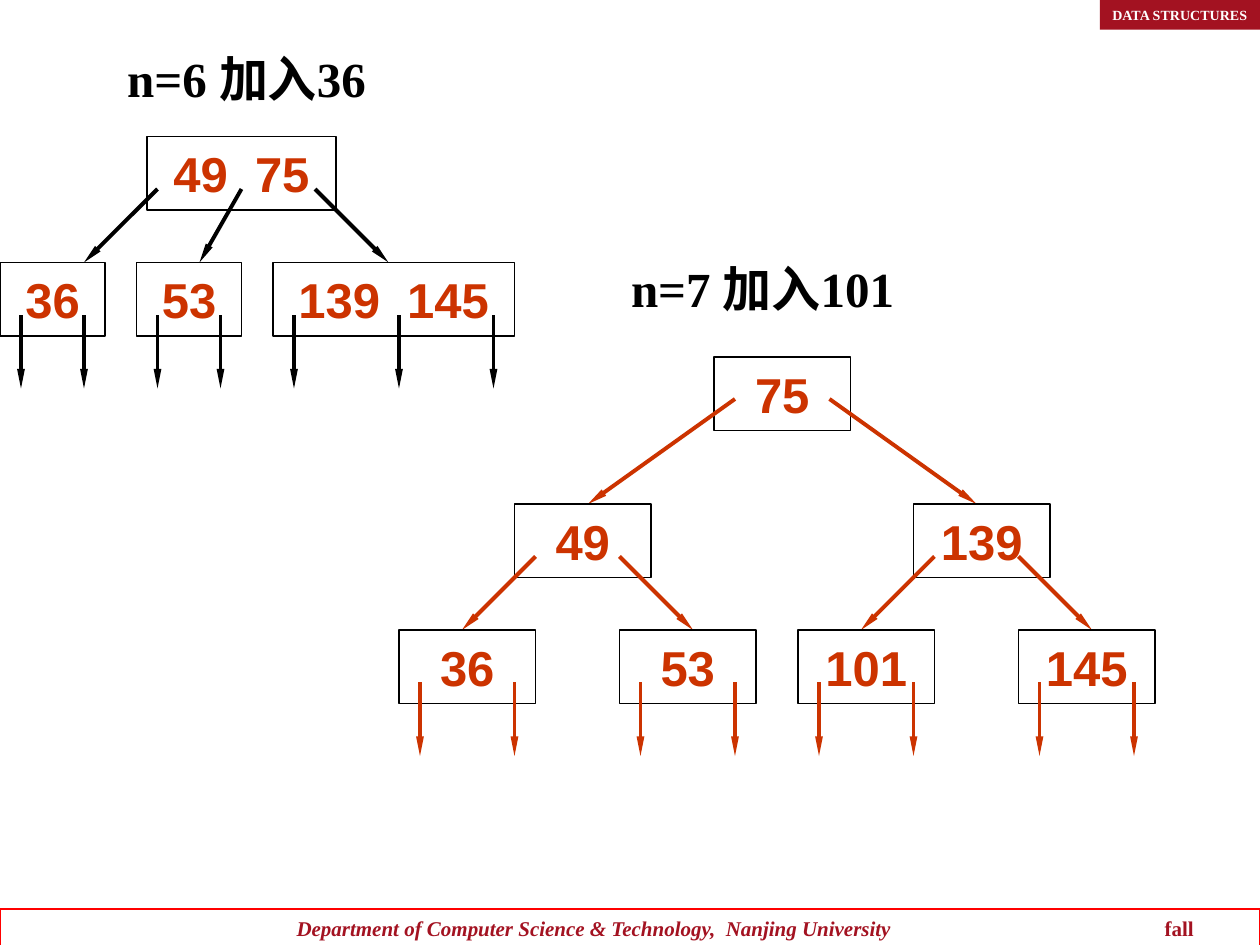
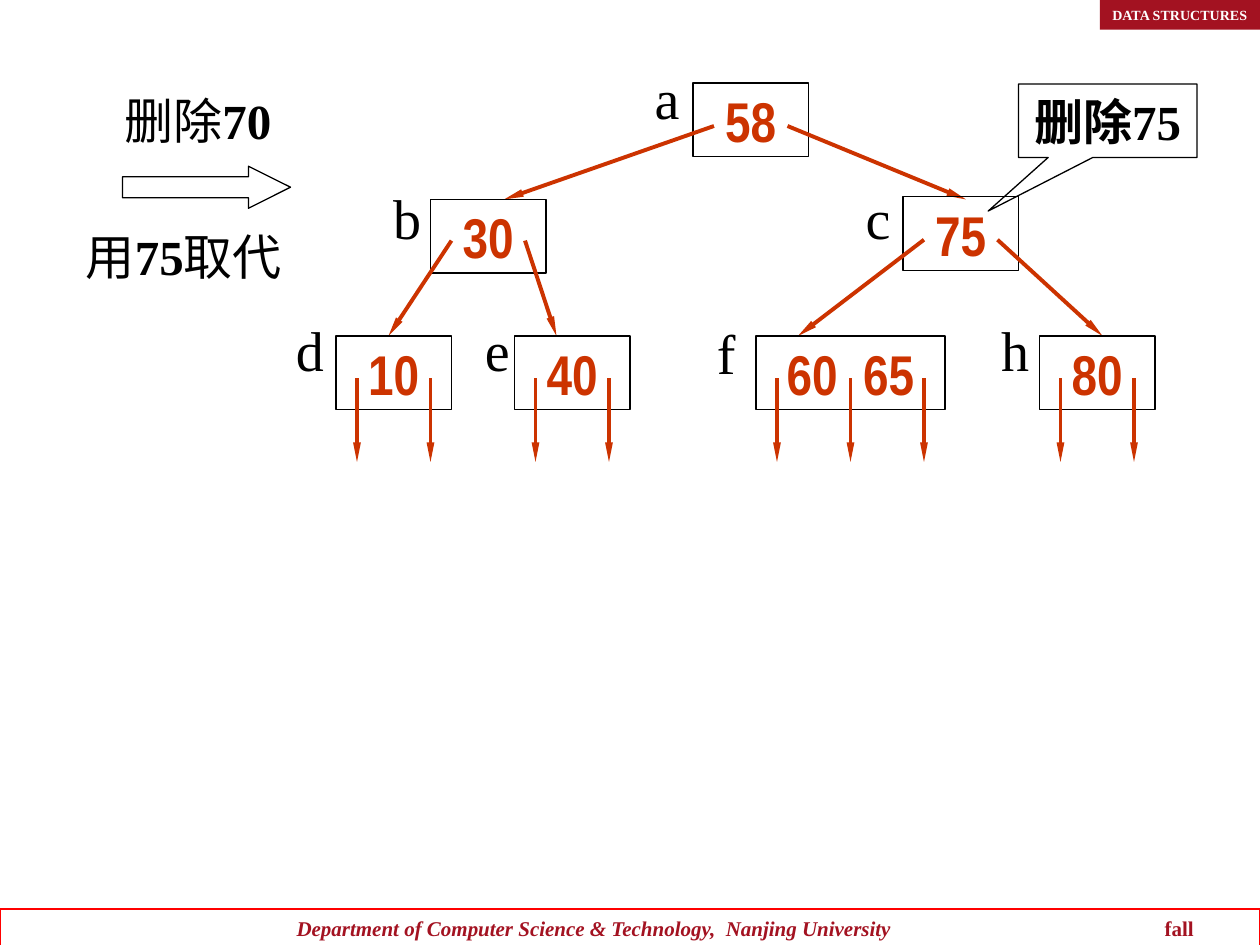
"""Builds two slides of B-tree insertion and deletion diagrams."""
from lxml import etree
from pptx import Presentation
from pptx.dml.color import RGBColor
from pptx.enum import shapes, text
from pptx.oxml import ns
from pptx.util import Pt

COLOURS = {"crimson": "A31221", "red": "FF0000", "orange": "CC3300",
           "black": "000000", "white": "FFFFFF"}
SERIF = "Times New Roman"
KINDS = shapes.MSO_SHAPE
LEFT, CENTRE = text.PP_ALIGN.LEFT, text.PP_ALIGN.CENTER
NODE_HEIGHT = 42


def write(box, spans, size, font=SERIF, colour="black", align=LEFT,
          anchor=text.MSO_ANCHOR.TOP, wrap=False):
    frame = box.text_frame
    frame.auto_size = text.MSO_AUTO_SIZE.NONE
    frame.word_wrap = wrap
    frame.vertical_anchor = anchor
    para = frame.paragraphs[0]
    para.alignment = align
    for words, bold in spans:
        span = para.add_run()
        span.text = words
        span.font.name = font
        span.font.size = Pt(size)
        span.font.bold = bold
        span.font.color.rgb = RGBColor.from_string(COLOURS[colour])
    return para


def add_outline(page, kind, left, top, width, height, colour="black"):
    box = page.shapes.add_shape(kind, Pt(left), Pt(top), Pt(width), Pt(height))
    box.shadow.inherit = False
    box.fill.background()
    box.line.color.rgb = RGBColor.from_string(COLOURS[colour])
    box.line.width = Pt(0.75)
    return box


deck = Presentation()
deck.slide_width, deck.slide_height = Pt(720), Pt(540)

titles = [
    ([("n=6 加入36", True)], 65.5, 24, 240),
    ([("删除", False), ("70", True)], 64, 48, 180),
]
pages = []
for spans, left, top, width in titles:
    page = deck.slides.add_slide(deck.slide_layouts[5])
    pages.append(page)

    footer = add_outline(page, KINDS.RECTANGLE, 0, 519.5, 720, 22, "red")
    footer.text_frame.margin_left = Pt(169.5)
    para = write(footer, [
        ("Department of Computer Science & Technology,  Nanjing University", True),
        ("\tfall", True)], 12, colour="crimson", wrap=True)
    para.runs[0].font.italic = True
    tabs = etree.SubElement(para._p.get_or_add_pPr(), ns.qn("a:tabLst"))
    etree.SubElement(tabs, ns.qn("a:tab"), pos=str(Pt(496)), algn="l")

    badge = add_outline(page, KINDS.RECTANGLE, 628.5, 0, 96, 17)
    badge.fill.solid()
    badge.fill.fore_color.rgb = RGBColor.from_string(COLOURS["crimson"])
    badge.line.fill.background()
    write(badge, [("DATA STRUCTURES", True)], 8, colour="white")

    title = page.shapes.title
    title.left, title.top, title.width, title.height = Pt(left), Pt(top), Pt(width), Pt(41)
    write(title, spans, 28, wrap=True)

insertion, deletion = pages

# keys, left, top, width, pointer start, pointer end, start xs, end xs
six_keys = [
    ("49  75", 84, 78, 108, 108, 150, (90, 138, 180), (48, 114, 222)),
    ("36", 0, 150, 60, 180, 222, (12, 48), (12, 48)),
    ("53", 78, 150, 60, 180, 222, (90, 126), (90, 126)),
    ("139  145", 156, 150, 138, 180, 222, (168, 228, 282), (168, 228, 282)),
]
seven_keys = [
    ("75", 408, 204, 78, 228, 288, (420, 474), (336, 558)),
    ("49", 294, 288, 78, 318, 360, (306, 354), (264, 396)),
    ("139", 522, 288, 78, 318, 360, (534, 582), (492, 624)),
]
for keys, left in (("36", 228), ("53", 354), ("101", 456), ("145", 582)):
    drops = (left + 12, left + 66)
    seven_keys.append((keys, left, 360, 78, 390, 432, drops, drops))
after_deletion = [
    ("58", 396, 47.5, 66, 72, 114, (408, 450), (288, 552)),
    ("30", 246, 114, 66, 137.5, 192, (258, 300), (222, 318)),
    ("75", 516, 112.5, 66, 137, 192, (528, 570), (456, 630)),
]
for keys, left, width in (("10", 192, 66), ("40", 294, 66), ("60  65", 432, 108), ("80", 594, 66)):
    drops = tuple(range(left + 12, left + width, 42))
    after_deletion.append((keys, left, 192, width, 216, 264, drops, drops))

trees = [
    (insertion, six_keys, "Arial", 28, "black"),
    (insertion, seven_keys, "Arial", 28, "orange"),
    (deletion, after_deletion, "Arial Narrow", 32, "orange"),
]
for page, nodes, font, size, arrow_colour in trees:
    for keys, left, top, width, start, end, start_xs, end_xs in nodes:
        node = add_outline(page, KINDS.RECTANGLE, left, top, width, NODE_HEIGHT)
        write(node, [(keys, True)], size, font, "orange", CENTRE, text.MSO_ANCHOR.MIDDLE)
        for start_x, end_x in zip(start_xs, end_xs):
            arrow = page.shapes.add_connector(
                shapes.MSO_CONNECTOR.STRAIGHT, Pt(start_x), Pt(start), Pt(end_x), Pt(end))
            arrow.line.color.rgb = RGBColor.from_string(COLOURS[arrow_colour])
            arrow.line.width = Pt(2.25)
            etree.SubElement(arrow.line._get_or_add_ln(), ns.qn("a:tailEnd"),
                             type="triangle", w="sm", len="lg")
            etree.SubElement(arrow._element.spPr, ns.qn("a:effectLst"))

captions = [
    (insertion, [("n=7 加入101", True)], 353.5, 144, 178, 41, 28),
    (deletion, [("用", False), ("75", True), ("取代", False)], 42, 126, 140, 41, 28),
]
for letter, left, top in (("a", 367, 32.5), ("b", 217.5, 101.5), ("c", 487.5, 101.5),
                          ("d", 162, 176.5), ("e", 270, 176.5), ("f", 402.5, 178.5),
                          ("h", 565, 176.5)):
    captions.append((deletion, [(letter, False)], left, top, 29, 46, 32))
for page, spans, left, top, width, height, size in captions:
    caption = page.shapes.add_textbox(Pt(left), Pt(top), Pt(width), Pt(height))
    write(caption, spans, size)

replace_arrow = add_outline(deletion, KINDS.RIGHT_ARROW, 70, 95, 96, 24)
replace_arrow.adjustments[0], replace_arrow.adjustments[1] = 0.5, 1

callout = add_outline(deletion, KINDS.RECTANGULAR_CALLOUT, 582, 48, 102, NODE_HEIGHT)
callout.adjustments[0], callout.adjustments[1] = -0.67, 1.23
write(callout, [("删除75", True)], 28, align=CENTRE, anchor=text.MSO_ANCHOR.MIDDLE)

deck.save("out.pptx")
